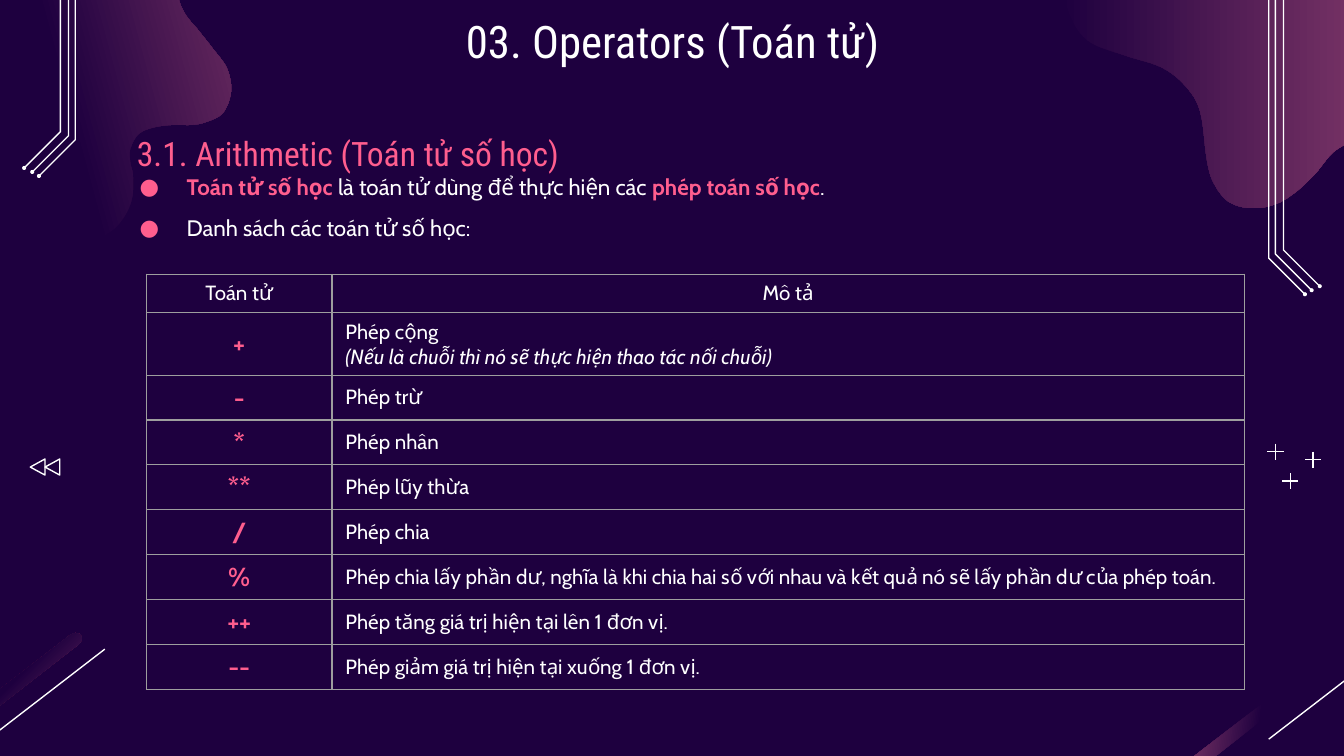
from pptx import Presentation
from pptx.dml.color import RGBColor
from pptx.enum.shapes import MSO_CONNECTOR, MSO_SHAPE
from pptx.enum.text import MSO_ANCHOR as ANCHOR, PP_ALIGN as ALIGN
from pptx.oxml import parse_xml
from pptx.oxml.ns import nsdecls, qn
from pptx.util import Inches, Pt

THEME = {
    "background": "1E003F", "glow": "A64D79", "accent": "FF5E8E", "text": "FFFFFF", "border": "9E9E9E",
    "heading_font": "Roboto Condensed", "body_font": "Cabin",
    "title": 24, "subtitle": 18, "body": 12, "cell": 11, "symbol": 14, "hairline": 0.75,
}
WIDTH = 10
HEIGHT = WIDTH * 9 / 16

TITLE = "03. Operators (Toán tử)"
SUBTITLE = "3.1. Arithmetic (Toán tử số học)"
# Each bullet is a list of (text, emphasised) runs
BULLETS = [
    [("Toán tử số học ", True), ("là toán tử dùng để thực hiện các ", False),
     ("phép toán số học", True), (".", False)],
    [("Danh sách các toán tử số học:", False)],
]
HEADER = ("Toán tử", "Mô tả")
OPERATORS = [
    ("+", "Phép cộng\n(Nếu là chuỗi thì nó sẽ thực hiện thao tác nối chuỗi)"),
    ("-", "Phép trừ"),
    ("*", "Phép nhân"),
    ("**", "Phép lũy thừa"),
    ("/", "Phép chia"),
    ("%", "Phép chia lấy phần dư, nghĩa là khi chia hai số với nhau và kết quả nó sẽ lấy phần dư của phép toán."),
    ("++", "Phép tăng giá trị hiện tại lên 1 đơn vị."),
    ("--", "Phép giảm giá trị hiện tại xuống 1 đơn vị."),
]
COLUMN_WIDTHS = (1.38, 6.79)
ROW_HEIGHTS = [0.24, 0.4] + [0.29] * 7

LEFT_BLOB = [
    (0.48, 1.9), (0.77, 1.76), (0.9, 1.65), (0.98, 1.49), (0.99, 1.31), (0.97, 1.21), (0.97, 1.11),
    (1.03, 1), (1.14, 0.95), (1.28, 0.93), (1.42, 0.93), (1.53, 0.91), (1.66, 0.84), (1.72, 0.68),
    (1.69, 0.51), (1.59, 0.37), (1.48, 0.23), (1.37, 0.09), (1.33, -0.07), (1.43, -0.31), (1.59, -0.39),
    (1.9, -0.41), (2.23, -0.42), (2.52, -0.58), (2.58, -0.87), (2.33, -1.34), (1.67, -1.51),
    (0.7, -0.95), (0.54, -0.9), (-0.47, -0.82), (-0.91, -0.74), (-1.28, -0.61), (-1.74, -0.3),
    (-1.94, 0.22), (-1.56, 0.8), (-0.88, 0.99), (-0.46, 1.06), (-0.13, 1.33), (-0.03, 1.66),
]
RIGHT_BLOB = [
    (11.25, 0.38), (11.05, -0.35), (10.58, -0.77), (9.89, -0.84), (9.29, -1.13), (8.97, -1.41),
    (8.52, -1.43), (8.19, -1.29), (7.93, -0.78), (7.89, -0.38), (7.9, -0.18), (7.95, 0.09), (8.09, 0.3),
    (8.36, 0.41), (8.64, 0.5), (8.82, 0.64), (8.93, 0.83), (8.98, 1.19), (9.03, 1.36), (9.14, 1.5),
    (9.31, 1.55), (9.49, 1.52), (9.64, 1.43), (9.78, 1.3), (9.95, 1.11), (10.18, 1.06), (10.52, 1.38),
    (11.17, 0.88),
]
BAR = [(0.56, 4.71), (0.6, 4.72), (0.61, 4.76), (0.59, 4.79), (-0.81, 5.88), (-0.85, 5.89),
       (-0.88, 5.87), (-0.89, 5.83), (-0.87, 5.8), (0.53, 4.72)]
BAR_GAP = 9.53
RAILS = [(9.44, 1.92), (9.49, 1.89), (9.55, 1.86)]  # x and height of the bend
RAIL_TOP, RAIL_RUN, LEFT_RAIL_RISE, DOT = -1.19, 0.27, 0.88, 0.03
PLUSES, PLUS_ARM = [(9.6, 3.58), (9.77, 3.42), (9.49, 3.36)], 0.06
TRIANGLES = (0.22, 0.33)

LATE_FADE = [(0, "background"), (50, "background"), (100, "glow")]
PLAIN_FADE = [(0, "background"), (100, "glow")]


def color(name):
    return RGBColor.from_string(THEME[name])


def smooth(points, steps=6):
    """Closed Catmull-Rom curve through the points."""
    curve = []
    for i in range(len(points)):
        a, b, c, d = (points[(i + k) % len(points)] for k in (-1, 0, 1, 2))
        for t in (step / steps for step in range(steps)):
            curve.append(tuple(
                0.5 * (2 * q + (r - p) * t + (2 * p - 5 * q + 4 * r - s) * t ** 2
                       + (3 * q - p - 3 * r + s) * t ** 3)
                for p, q, r, s in zip(a, b, c, d)))
    return curve


def add_outline(slide, points, close):
    points = [(Inches(x), Inches(y)) for x, y in points]
    builder = slide.shapes.build_freeform(*points[0])
    builder.add_line_segments(points[1:], close=close)
    shape = builder.convert_to_shape()
    shape.shadow.inherit = False
    shape.fill.background()
    return shape


def add_glow(slide, points, stops, angle=None):
    """Gradient outline; without an angle the gradient is radial."""
    shape = add_outline(slide, points, True)
    shape.line.fill.background()
    stop_xml = "".join(f'<a:gs pos="{at * 1000}"><a:srgbClr val="{THEME[name]}"/></a:gs>' for at, name in stops)
    if angle is None:
        way = '<a:path path="circle"><a:fillToRect r="100000" b="100000"/></a:path>'
    else:
        way = f'<a:lin ang="{angle * 60000}" scaled="0"/>'
    gradient = parse_xml(f'<a:gradFill {nsdecls("a")} rotWithShape="1"><a:gsLst>{stop_xml}</a:gsLst>{way}</a:gradFill>')
    properties = shape.element.spPr
    properties.replace(properties.find(qn("a:noFill")), gradient)


def set_line(shape):
    shape.line.color.rgb = color("text")
    shape.line.width = Pt(THEME["hairline"])


def add_line(slide, *ends):
    line = slide.shapes.add_connector(MSO_CONNECTOR.STRAIGHT, *map(Inches, ends))
    set_line(line)
    line.element.spPr.append(parse_xml(f'<a:effectLst {nsdecls("a")}/>'))


def add_preset(slide, kind, *box):
    shape = slide.shapes.add_shape(kind, *map(Inches, box))
    shape.shadow.inherit = False
    return shape


def add_rail(slide, points):
    set_line(add_outline(slide, points, False))
    x, y = points[-1]
    dot = add_preset(slide, MSO_SHAPE.OVAL, x - DOT / 2, y - DOT / 2, DOT, DOT)
    dot.fill.solid()
    dot.fill.fore_color.rgb = color("text")
    dot.line.fill.background()


def add_decoration(slide):
    add_glow(slide, smooth(LEFT_BLOB), LATE_FADE, 345)
    add_glow(slide, smooth(RIGHT_BLOB), PLAIN_FADE, 0)
    for shift, angle in ((0, None), (BAR_GAP, 187)):
        add_glow(slide, [(x + shift, y) for x, y in BAR], LATE_FADE, angle)
        add_line(slide, 0.78 + shift, 4.83, -0.09 + shift, 5.5)
    for x, bend in RAILS:
        rail = [(x, RAIL_TOP), (x, bend), (x + RAIL_RUN, bend + RAIL_RUN)]
        add_rail(slide, rail)
        add_rail(slide, [(WIDTH - px, py - LEFT_RAIL_RISE) for px, py in rail])
    for x, y in PLUSES:
        add_line(slide, x - PLUS_ARM, y, x + PLUS_ARM, y)
        add_line(slide, x, y - PLUS_ARM, x, y + PLUS_ARM)
    for x in TRIANGLES:
        triangle = add_preset(slide, MSO_SHAPE.ISOSCELES_TRIANGLE, x, 3.42, 0.12, 0.11)
        triangle.rotation = 270
        triangle.fill.background()
        set_line(triangle)


def style(font, size, tint="text", face="body_font", bold=False, italic=False):
    font.name, font.size, font.color.rgb = THEME[face], Pt(THEME[size]), color(tint)
    font.bold, font.italic = bold, italic


def add_text_frame(slide, *box, anchor=ANCHOR.TOP):
    frame = slide.shapes.add_textbox(*map(Inches, box)).text_frame
    frame.word_wrap, frame.vertical_anchor = True, anchor
    frame.margin_left = frame.margin_right = frame.margin_top = frame.margin_bottom = Inches(0.1)
    return frame


def add_bullets(slide):
    frame = add_text_frame(slide, 0.79, 1.09, 8.12, 0.83)
    for index, runs in enumerate(BULLETS):
        paragraph = frame.add_paragraph() if index else frame.paragraphs[0]
        properties = paragraph._p.get_or_add_pPr()
        properties.set("marL", str(Inches(0.5)))
        properties.set("indent", str(Inches(-0.35)))
        for element in (f'<a:buClr {nsdecls("a")}><a:srgbClr val="{THEME["accent"]}"/></a:buClr>',
                        f'<a:buFont {nsdecls("a")} typeface="{THEME["body_font"]}"/>',
                        f'<a:buChar {nsdecls("a")} char="●"/>'):
            properties.append(parse_xml(element))
        paragraph.line_spacing = 1.5
        for text, emphasised in runs:
            run = paragraph.add_run()
            run.text = text
            style(run.font, "body", "accent" if emphasised else "text", bold=emphasised)


def add_headings(slide):
    title = add_text_frame(slide, 0.79, 0, 8.43, 0.63)
    title.text = TITLE
    title.paragraphs[0].alignment = ALIGN.CENTER
    style(title.paragraphs[0].runs[0].font, "title", face="heading_font")
    subtitle = add_text_frame(slide, 0.92, 0.94, 7.02, 0.45, anchor=ANCHOR.BOTTOM)
    subtitle.text = SUBTITLE
    subtitle.paragraphs[0].line_spacing, subtitle.paragraphs[0].space_after = 1.15, Pt(12)
    style(subtitle.paragraphs[0].runs[0].font, "subtitle", "accent", "heading_font")


def fill_cell(cell, text, is_header, is_symbol):
    cell.text_frame.text = text
    cell.vertical_anchor = ANCHOR.MIDDLE
    for index, paragraph in enumerate(cell.text_frame.paragraphs):
        paragraph.alignment = ALIGN.CENTER if is_header or is_symbol else ALIGN.LEFT
        size, tint = ("symbol", "accent") if is_symbol else ("cell", "text")
        style(paragraph.runs[0].font, size, tint, bold=is_symbol, italic=index > 0)
    cell.fill.background()
    for index, side in enumerate("LRTB"):
        cell._tc.get_or_add_tcPr().insert(index, parse_xml(
            f'<a:ln{side} {nsdecls("a")} w="{Pt(THEME["hairline"])}"><a:solidFill>'
            f'<a:srgbClr val="{THEME["border"]}"/></a:solidFill></a:ln{side}>'))


def add_operator_table(slide):
    rows = [HEADER] + OPERATORS
    box = (1.09, 2.04, sum(COLUMN_WIDTHS), sum(ROW_HEIGHTS))
    table = slide.shapes.add_table(len(rows), len(HEADER), *map(Inches, box)).table
    table.first_row = table.horz_banding = False
    for column, width in zip(table.columns, COLUMN_WIDTHS):
        column.width = Inches(width)
    for r, (row, height) in enumerate(zip(rows, ROW_HEIGHTS)):
        table.rows[r].height = Inches(height)
        for c, text in enumerate(row):
            fill_cell(table.cell(r, c), text, r == 0, r > 0 and c == 0)


presentation = Presentation()
presentation.slide_width, presentation.slide_height = Inches(WIDTH), Inches(HEIGHT)
slide = presentation.slides.add_slide(presentation.slide_layouts[6])
slide.background.fill.solid()
slide.background.fill.fore_color.rgb = color("background")
for add_part in (add_decoration, add_bullets, add_headings, add_operator_table):
    add_part(slide)
presentation.save("out.pptx")
